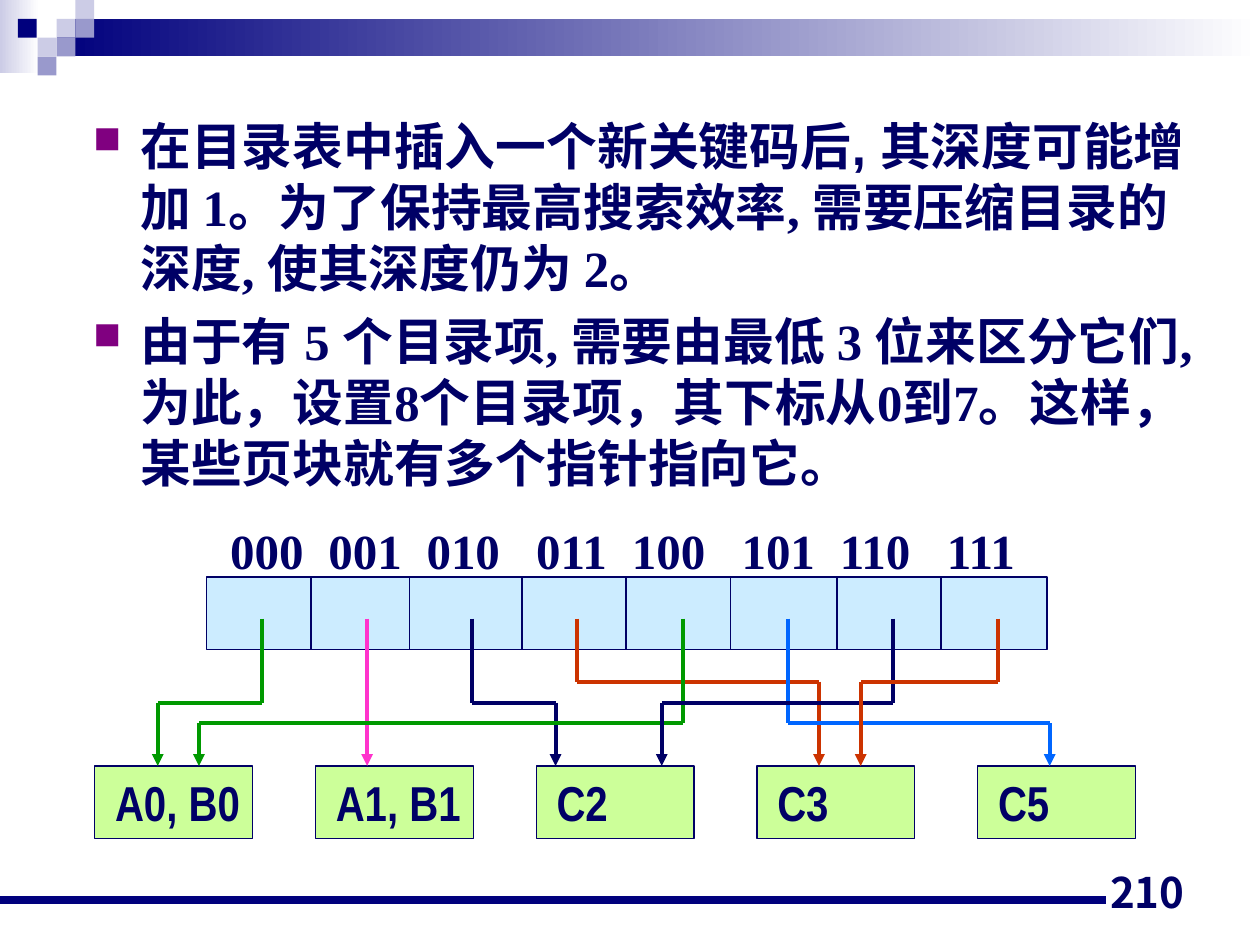
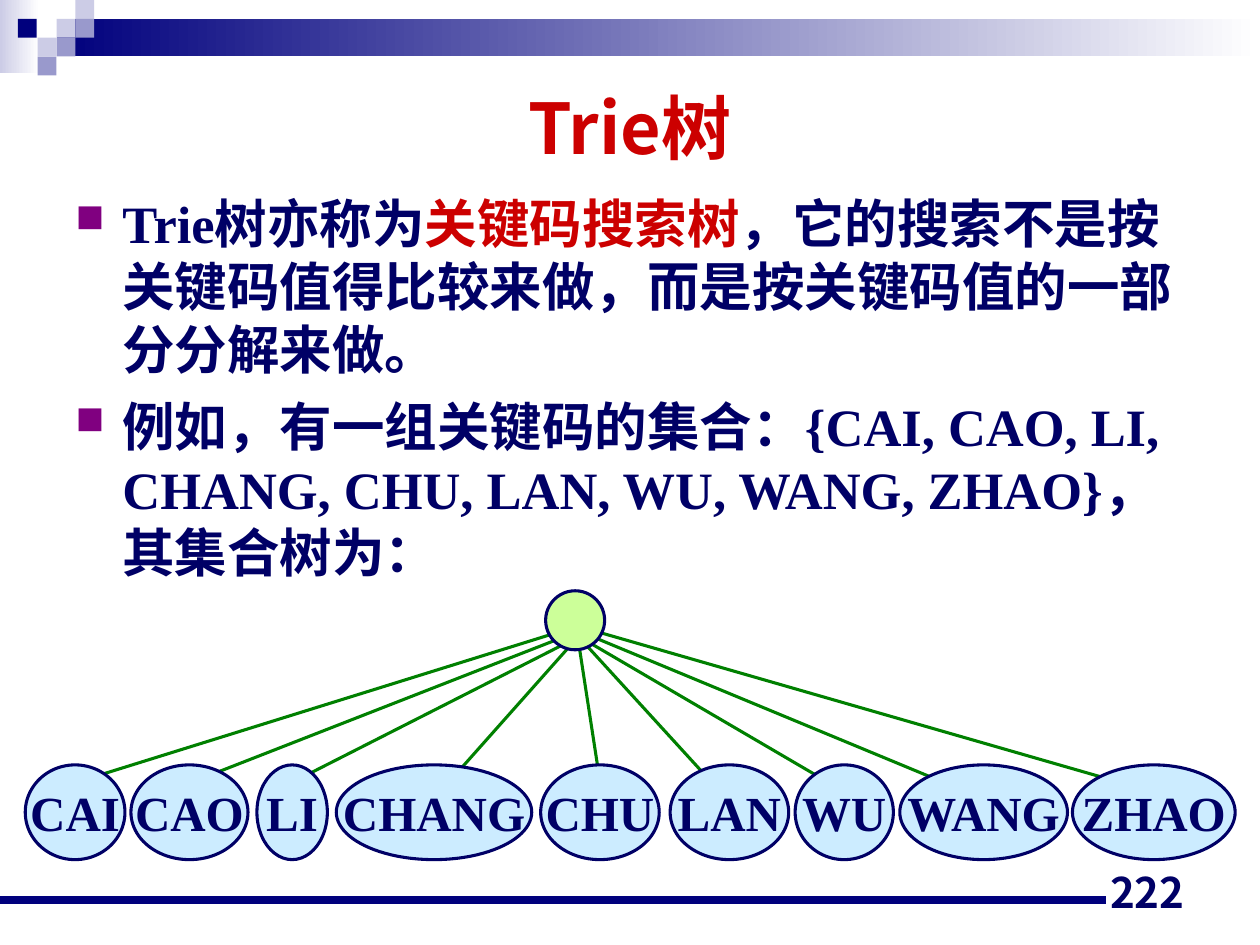
from lxml import etree
from pptx import Presentation
from pptx.dml.color import RGBColor
from pptx.enum.shapes import MSO_CONNECTOR, MSO_SHAPE
from pptx.enum.text import MSO_ANCHOR, PP_ALIGN
from pptx.oxml.ns import qn
from pptx.util import Cm, Pt

RECTANGLE, OVAL = MSO_SHAPE.RECTANGLE, MSO_SHAPE.OVAL
STRAIGHT = MSO_CONNECTOR.STRAIGHT
TOP, MIDDLE, BOTTOM = MSO_ANCHOR.TOP, MSO_ANCHOR.MIDDLE, MSO_ANCHOR.BOTTOM
LEFT, CENTER, RIGHT = PP_ALIGN.LEFT, PP_ALIGN.CENTER, PP_ALIGN.RIGHT

SERIF, SANS, NARROW, CJK = "Times New Roman", "Arial", "Arial Narrow", "Noto Sans CJK JP"
INK, NAVY, LAVENDER, LILAC = "000066", "00007D", "9999CC", "CCCCE6"
WHITE, RED, PURPLE = "FFFFFF", "CC0000", "800080"
SKY, LIME = "CCECFF", "CCFF99"
GREEN, PINK, RUST, BLUE, TREE_GREEN = "009900", "FF33CC", "CC3300", "0066FF", "008000"

MOSAIC = [
    (1.14, 0.38, LILAC), (1.52, 0, LILAC), (1.52, 0.38, LAVENDER),
    (0.76, 0.76, LILAC), (0.36, 0.38, NAVY), (1.14, 0.76, LAVENDER),
    (0.76, 1.14, LAVENDER),
]

DIRECTORY_TEXT = [
    [("在目录表中插入一个新关键码后, 其深度可能增加 ", SANS, INK),
     ("1。为了保持最高搜索效率, 需要压缩目录的深度, 使其深度仍为 2。", SERIF, INK)],
    [("由于有 5 个目录项, 需要由最低 3 位来区分它们, 为此，设置8个目录项，"
      "其下标从0到7。这样，某些页块就有多个指针指向它。", SERIF, INK)],
]
INDEX_TABS = [1.98, 3.96, 6.17, 8.1, 10.31, 12.29, 14.45]
DIVIDERS = [6.27, 8.26, 10.52, 12.62, 14.73, 16.87, 18.97]
PAGES = ["A0, B0", "A1, B1", "C2", "C3", "C5"]
POINTERS = [
    (14.17, 3.18, GREEN), (14.17, 7.4, PINK), (14.17, 11.2, INK), (13.74, 16.51, RUST),
    (14.58, 4.01, GREEN), (14.58, 21.16, BLUE), (14.17, 13.34, INK), (13.74, 17.35, RUST),
]

TRIE_TEXT = [
    [("Trie树亦称为", SERIF, INK), ("关键码搜索树", SERIF, RED),
     ("，它的搜索不是按关键码值得比较来做，而是按关键码值的一部分分解来做。", SERIF, INK)],
    [("例如，有一组关键码的集合：{CAI, CAO, LI, CHANG, CHU, LAN, WU, WANG, ZHAO}，"
      "其集合树为：", SERIF, INK)],
]
KEYS = [
    ("CAI", 0.51, 2.01, 1.7), ("CAO", 2.64, 2.36, 3.99), ("LI", 5.18, 1.42, 5.99),
    ("CHANG", 6.78, 3.94, 9.09), ("CHU", 10.9, 2.39, 12.09), ("LAN", 13.51, 2.39, 14.3),
    ("WU", 16.03, 1.98, 16.61), ("WANG", 18.14, 3.38, 18.9), ("ZHAO", 21.62, 3.28, 22.4),
]


def color(value):
    return RGBColor.from_string(value)


def add_child(parent, tag, **attributes):
    return etree.SubElement(parent, qn(tag), attributes)


def set_font(font, size, name, ink):
    font.size, font.name, font.bold = Pt(size), name, True
    font.color.rgb = color(ink)


def set_frame(frame, anchor, insets, wrap):
    frame.vertical_anchor, frame.word_wrap = anchor, wrap
    frame.margin_left, frame.margin_right = Cm(insets[0]), Cm(insets[0])
    frame.margin_top, frame.margin_bottom = Cm(insets[1]), Cm(insets[1])


def add_shape(slide, kind, box, fill, line=None, width=0.74):
    shape = slide.shapes.add_shape(kind, *map(Cm, box))
    shape.shadow.inherit = False
    shape.fill.solid()
    shape.fill.fore_color.rgb = color(fill)
    if line:
        shape.line.color.rgb = color(line)
        shape.line.width = Pt(width)
    else:
        shape.line.fill.background()
    return shape


def add_gradient(slide, box, start, end):
    shape = add_shape(slide, RECTANGLE, box, start)
    shape.fill.gradient()
    shape.fill.gradient_angle = 0
    for stop, value in zip(shape.fill.gradient_stops, (start, end)):
        stop.color.rgb = color(value)


def add_line(slide, start, end, ink, width, arrow=False):
    connector = slide.shapes.add_connector(STRAIGHT, *map(Cm, (*start, *end)))
    connector.line.color.rgb = color(ink)
    connector.line.width = Pt(width)
    if arrow:
        add_child(connector.line._get_or_add_ln(), "a:tailEnd", type="triangle")
    add_child(connector._element.spPr, "a:effectLst")


def write(shape, text, size, name, ink=INK, align=CENTER, anchor=MIDDLE,
          insets=(0.25, 0.13), wrap=False):
    set_frame(shape.text_frame, anchor, insets, wrap)
    paragraph = shape.text_frame.paragraphs[0]
    paragraph.text, paragraph.alignment = text, align
    set_font(paragraph.font, size, name, ink)
    return paragraph


def add_label(slide, box, *args, **options):
    return write(slide.shapes.add_textbox(*map(Cm, box)), *args, **options)


def add_bullets(slide, box, items, size):
    frame = slide.shapes.add_textbox(*map(Cm, box)).text_frame
    set_frame(frame, TOP, (0.25, 0.13), True)
    for index, runs in enumerate(items):
        paragraph = frame.add_paragraph() if index else frame.paragraphs[0]
        paragraph.space_before = Pt(size / 4)
        properties = paragraph._p.get_or_add_pPr()
        properties.set("marL", str(Cm(0.95)))
        properties.set("indent", str(-Cm(0.95)))
        add_child(add_child(properties, "a:buClr"), "a:srgbClr", val=PURPLE)
        add_child(properties, "a:buSzPct", val="75000")
        add_child(properties, "a:buChar", char="■")
        for text, name, ink in runs:
            run = paragraph.add_run()
            run.text = text
            set_font(run.font, size, name, ink)


def add_base_slide(presentation, number):
    slide = presentation.slides.add_slide(presentation.slide_layouts[6])
    add_gradient(slide, (0, 0, 0.79, 1.47), LILAC, WHITE)
    add_gradient(slide, (1.14, 0.38, 24.26, 0.76), NAVY, WHITE)
    for left, top, fill in MOSAIC:
        add_shape(slide, RECTANGLE, (left, top, 0.38, 0.38), fill)
    add_line(slide, (0, 18.14), (22.3, 18.14), NAVY, 4.5)
    add_label(slide, (18.21, 17.35, 5.92, 1.27), number, 24, CJK,
              align=RIGHT, anchor=BOTTOM, wrap=True)
    return slide


def add_pointer(slide, cell, level, target, ink):
    source = 5.28 + 2.12 * cell
    if source == target:
        points = [(source, 12.47), (target, 15.44)]
    else:
        points = [(source, 12.47), (source, level), (target, level), (target, 15.44)]
    for start, end in zip(points, points[1:]):
        add_line(slide, start, end, ink, 2.25, arrow=end == points[-1])


def build_directory_slide(presentation):
    slide = add_base_slide(presentation, "210")
    add_bullets(slide, (1.63, 2.18, 22.68, 11.43), DIRECTORY_TEXT, 29)
    add_shape(slide, RECTANGLE, (4.17, 11.63, 16.94, 1.47), SKY, INK)
    for x in DIVIDERS:
        add_line(slide, (x, 11.63), (x, 13.1), INK, 0.74)
    indexes = "\t".join(f"{index:03b}" for index in range(8))
    paragraph = add_label(slide, (4.39, 10.36, 16.74, 1.45), indexes, 28, SERIF,
                          align=LEFT, anchor=TOP, wrap=True)
    tabs = add_child(paragraph._p.get_or_add_pPr(), "a:tabLst")
    paragraph._p.pPr.find(qn("a:defRPr")).addprevious(tabs)
    for position in INDEX_TABS:
        add_child(tabs, "a:tab", pos=str(Cm(position)), algn="l")
    for index, name in enumerate(PAGES):
        page = add_shape(slide, RECTANGLE, (1.91 + 4.45 * index, 15.44, 3.18, 1.47), LIME, INK)
        write(page, name, 28, NARROW, align=LEFT, insets=(0.41, 0.13))
    for cell, pointer in enumerate(POINTERS):
        add_pointer(slide, cell, *pointer)


def build_trie_slide(presentation):
    slide = add_base_slide(presentation, "222")
    add_label(slide, (1.27, 1.27, 22.86, 2.57), "Trie树", 40, CJK, RED, wrap=True)
    add_bullets(slide, (1.27, 3.73, 22.86, 13.89), TRIE_TEXT, 30)
    for index, (_, _, _, end) in enumerate(KEYS):
        rise = 0.1 * max(0, abs(index - 4) - 2)
        add_line(slide, (11.3 + 0.09 * index, 12.93 - rise), (end, 15.72), TREE_GREEN, 1.75)
    for key, left, width, _ in KEYS:
        node = add_shape(slide, OVAL, (left, 15.42, width, 1.91), SKY, INK, 1.75)
        write(node, key, 28, SERIF, insets=(0, 0))
    add_shape(slide, OVAL, (11, 11.91, 1.19, 1.19), LIME, INK, 1.75)


def main():
    presentation = Presentation()
    presentation.slide_width, presentation.slide_height = Cm(25.4), Cm(19.05)
    build_directory_slide(presentation)
    build_trie_slide(presentation)
    presentation.save("out.pptx")


main()
